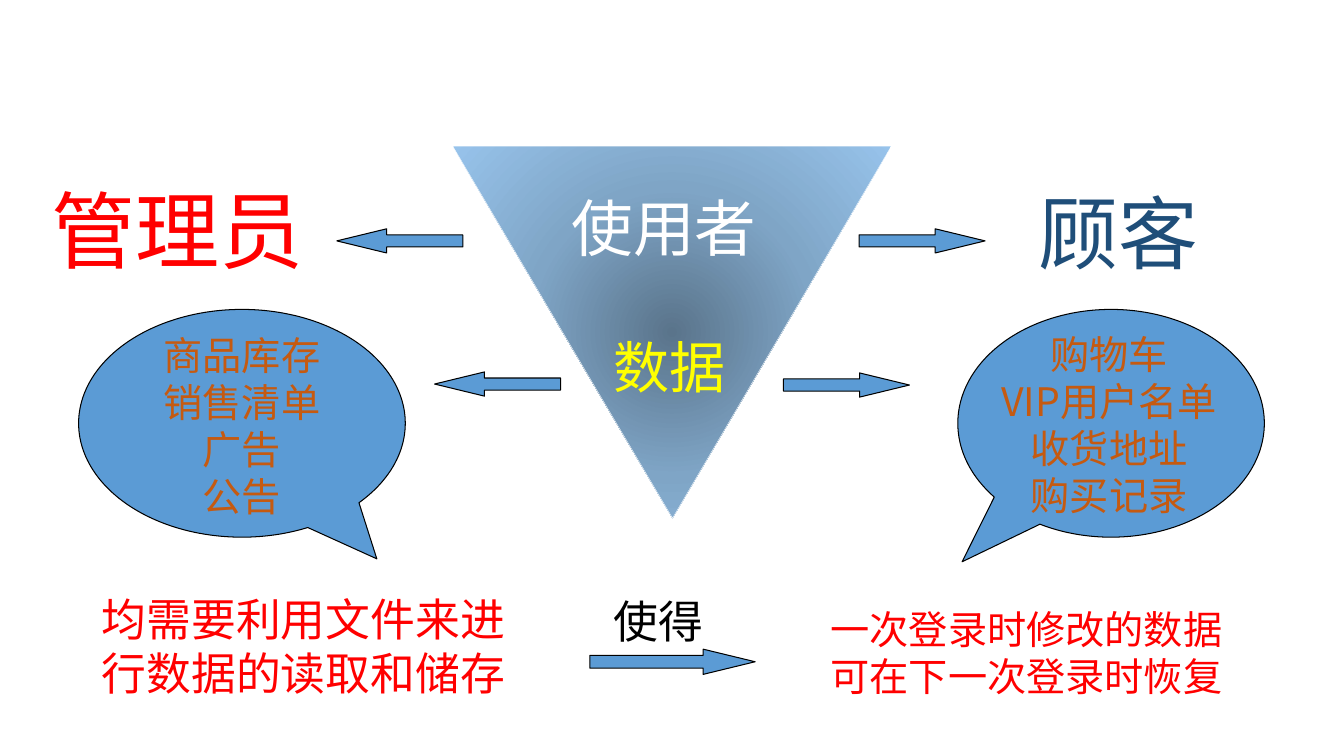
"""Build the slide on how managers and customers share stored data."""
from lxml import etree
from pptx import Presentation
from pptx.dml.color import RGBColor
from pptx.enum import shapes, text
from pptx.oxml import ns
from pptx.util import Inches, Pt

FONT = "Noto Sans CJK SC"
COLORS = {
    "red": "FF0000", "navy": "1F4E79", "white": "FFFFFF", "yellow": "FFFF00",
    "orange": "C55A11", "black": "000000", "blue": "5B9BD5",
    "core": "5A748B", "middle": "7FA5C6", "rim": "97C3EB",
}

deck = Presentation()
deck.slide_width, deck.slide_height = Inches(13.33), Inches(7.5)
page = deck.slides.add_slide(deck.slide_layouts[6])


def add_blue_shape(kind, place, adjustments, rotation=0):
    shape = page.shapes.add_shape(kind, *map(Inches, place))
    for index, value in enumerate(adjustments):
        shape.adjustments[index] = value
    shape.rotation = rotation
    shape.shadow.inherit = False
    shape.fill.solid()
    shape.fill.fore_color.rgb = RGBColor.from_string(COLORS["blue"])
    shape.line.color.rgb = RGBColor.from_string(COLORS["black"])
    shape.line.width = Pt(0.75)


def add_label(place, lines, size, color, wrap=False, align=text.PP_ALIGN.LEFT):
    box = page.shapes.add_textbox(*map(Inches, place))
    frame = box.text_frame
    frame_format = {
        "word_wrap": wrap,
        "auto_size": text.MSO_AUTO_SIZE.NONE,
        "vertical_anchor": text.MSO_ANCHOR.TOP,
        "margin_top": Inches(0.05) + Pt(size * 0.09),
    }
    for name, value in frame_format.items():
        setattr(frame, name, value)
    for index, line in enumerate(lines):
        para = frame.paragraphs[0] if index == 0 else frame.add_paragraph()
        para.alignment = align
        para.line_spacing = Pt(size * 1.2)
        span = para.add_run()
        span.text = line
        span.font.name = FONT
        span.font.size = Pt(size)
        span.font.color.rgb = RGBColor.from_string(COLORS[color])
        east_asian = etree.SubElement(span.font._element, ns.qn("a:ea"))
        east_asian.set("typeface", FONT)


builder = page.shapes.build_freeform(Inches(4.49), Inches(1.45))
builder.add_line_segments(
    [(Inches(8.84), Inches(1.45)), (Inches(6.67), Inches(5.14))], close=True)
triangle = builder.convert_to_shape()
triangle.shadow.inherit = False
triangle.line.color.rgb = RGBColor.from_string(COLORS["white"])
triangle.line.width = Pt(0.25)
triangle.fill.gradient()
gradient = triangle._element.spPr.find(ns.qn("a:gradFill"))
for child in list(gradient):
    gradient.remove(child)
stops = etree.SubElement(gradient, ns.qn("a:gsLst"))
for position, color in ((0, "core"), (50, "middle"), (100, "rim")):
    stop = etree.SubElement(stops, ns.qn("a:gs"), pos=str(position * 1000))
    etree.SubElement(stop, ns.qn("a:srgbClr"), val=COLORS[color])
radial = etree.SubElement(gradient, ns.qn("a:path"), path="circle")
etree.SubElement(radial, ns.qn("a:fillToRect"),
                 dict.fromkeys("ltrb", "50000"))

arrows = [
    ((3.34, 2.27, 1.25, 0.24), 180),
    ((8.52, 2.27, 1.25, 0.24), 0),
    ((4.31, 3.69, 1.25, 0.24), 180),
    ((7.77, 3.7, 1.25, 0.24), 0),
    ((5.85, 6.44, 1.64, 0.25), 0),
]
for place, rotation in arrows:
    add_blue_shape(shapes.MSO_SHAPE.RIGHT_ARROW, place, (0.5, 2.06), rotation)

callouts = [
    ((0.78, 3.07, 3.24, 2.26), (0.413, 0.595), (1.01, 3.2, 2.78, 1.99),
     ["商品库存", "销售清单", "广告", "公告"]),
    ((9.5, 3.07, 3.04, 2.26), (-0.486, 0.608), (9.15, 3.19, 3.7, 1.99),
     ["购物车", "VIP用户名单", "收货地址", "购买记录"]),
]
for bubble, pointer, place, lines in callouts:
    add_blue_shape(shapes.MSO_SHAPE.OVAL_CALLOUT, bubble, pointer)
    add_label(place, lines, 28, "orange", True, text.PP_ALIGN.CENTER)

labels = [
    ((0.41, 1.65, 2.73, 1.11), ["管理员"], 60, "red"),
    ((10.2, 1.7, 1.8, 1.06), ["顾客"], 57, "navy"),
    ((5.57, 1.78, 2.18, 0.84), ["使用者"], 44, "white", True),
    ((5.99, 3.2, 1.88, 0.77), ["数据"], 40, "yellow", True),
    ((0.91, 5.78, 4.24, 1.18),
     ["均需要利用文件来进", "行数据的读取和储存"], 32, "red"),
    ((8.14, 5.92, 4.13, 1.04),
     ["一次登录时修改的数据", "可在下一次登录时恢复"], 28, "red"),
    ((5.99, 5.8, 1.1, 0.64), ["使得"], 32, "black"),
]
for label in labels:
    add_label(*label)

deck.save("out.pptx")
